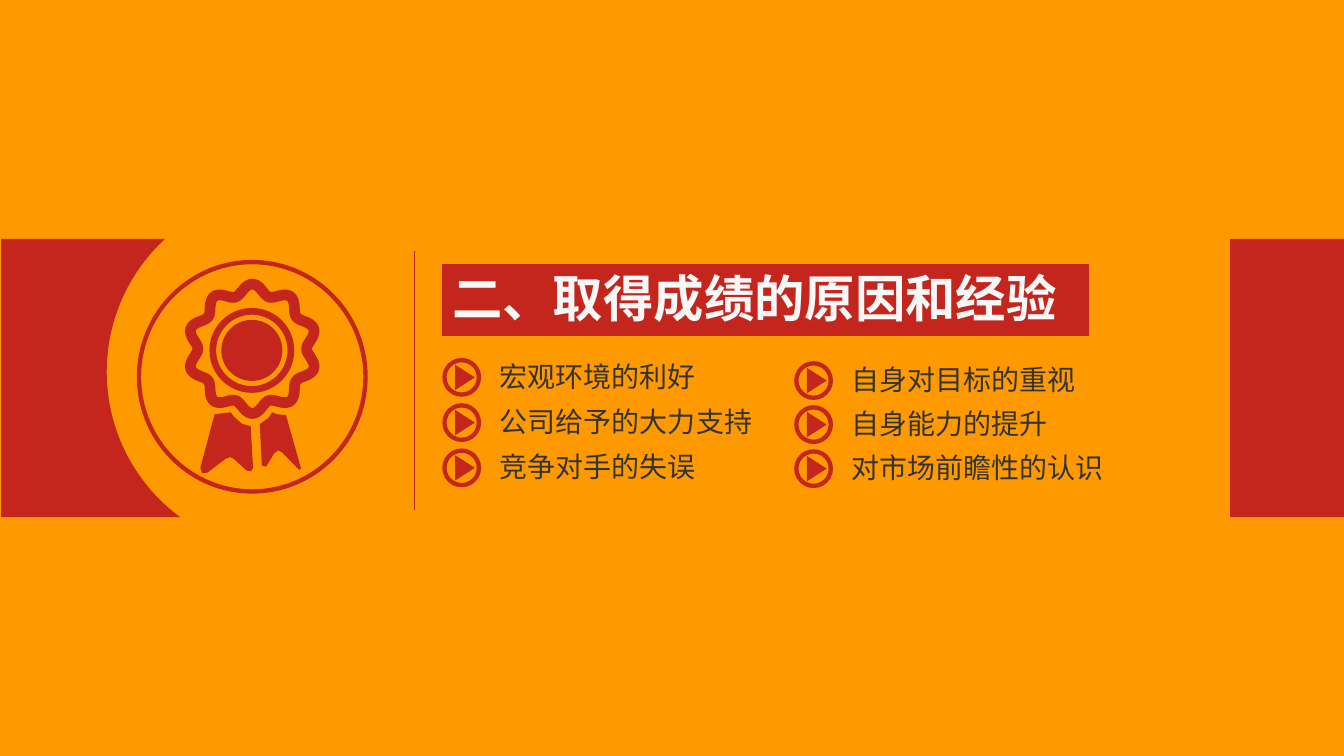
from math import cos, pi, sin, sqrt, tau

from lxml import etree
from pptx import Presentation
from pptx.dml.color import RGBColor
from pptx.enum.shapes import MSO_CONNECTOR, MSO_SHAPE as Preset
from pptx.oxml.ns import qn
from pptx.util import Cm, Pt

RED, ORANGE, WHITE, GREY = "C4261D", "FF9900", "F8F8F8", "333333"

TITLE = "二、取得成绩的原因和经验"
# left, top, row step (cm), reasons
COLUMNS = [
    (11.15, 9.02, 1.14, ["宏观环境的利好", "公司给予的大力支持", "竞争对手的失误"]),
    (20.02, 9.1, 1.11, ["自身对目标的重视", "自身能力的提升", "对市场前瞻性的认识"]),
]
BAND_TOP, BAND_BOTTOM = 6.02, 13.03
CUT_X, CUT_Y, CUT_RADIUS = 7.24, 9.37, 4.55
ROSETTE_X, ROSETTE_Y, ROSETTE_RADIUS = 6.36, 8.79, 1.5
LOBES, LOBE_HEIGHT = 10, 0.13
RIBBONS = [
    [(5.41, 10.44), (5.82, 10.39), (5.89, 10.49), (6.1, 10.68), (6.32, 10.74),
     (6.38, 11.79), (6.33, 11.88), (6.22, 11.86), (5.89, 11.56), (5.8, 11.52),
     (5.69, 11.56), (5.23, 11.91), (5.1, 11.93), (5.05, 11.79)],
    [(6.55, 10.69), (6.78, 10.52), (6.86, 10.39), (6.99, 10.44), (7.21, 10.46),
     (7.59, 11.81), (7.54, 11.84), (7.11, 11.4), (7.01, 11.35), (6.91, 11.43),
     (6.71, 11.76), (6.6, 11.73)],
]


def color(hex_code):
    return RGBColor.from_string(hex_code)


def paint(shape, fill=RED, line_width=None):
    """Fill the shape, or leave it hollow with a red outline of line_width."""
    shape.shadow.inherit = False
    if fill:
        shape.fill.solid()
        shape.fill.fore_color.rgb = color(fill)
    else:
        shape.fill.background()
    if line_width:
        shape.line.color.rgb = color(RED)
        shape.line.width = line_width
    else:
        shape.line.fill.background()
    return shape


def add_preset(slide, preset, left, top, width, height):
    return paint(slide.shapes.add_shape(preset, Cm(left), Cm(top), Cm(width), Cm(height)))


def add_ring(slide, left, top, width, height, thickness):
    ring = add_preset(slide, Preset.DONUT, left, top, width, height)
    ring.adjustments[0] = thickness / min(width, height)


def add_outline(slide, points, **style):
    corners = [(Cm(x), Cm(y)) for x, y in points]
    builder = slide.shapes.build_freeform(*corners[0])
    builder.add_line_segments(corners[1:], close=True)
    return paint(builder.convert_to_shape(), **style)


def add_text(slide, text, left, top, width, height, font_name, size, hex_code, bold=False, wrap=True):
    box = slide.shapes.add_textbox(Cm(left), Cm(top), Cm(width), Cm(height))
    box.text_frame.word_wrap = wrap
    paragraph = box.text_frame.paragraphs[0]
    paragraph.text = text
    font = paragraph.font
    font.name, font.size, font.bold = font_name, Pt(size), bold
    font.color.rgb = color(hex_code)


def add_reason(slide, text, left, top):
    add_ring(slide, left, top, 0.98, 0.98, 0.11)
    add_preset(slide, Preset.ISOSCELES_TRIANGLE, left + 0.25, top + 0.24, 0.64, 0.5).rotation = 90
    add_text(slide, text, left + 1.2, top - 0.09, 0.51 + 0.71 * len(text), 1.12,
             "Arial", 20, GREY, wrap=False)


def add_bands(slide):
    steps = 40
    heights = [BAND_TOP + (BAND_BOTTOM - BAND_TOP) * i / steps for i in range(steps + 1)]
    arc = [(CUT_X - sqrt(CUT_RADIUS ** 2 - (y - CUT_Y) ** 2), y) for y in heights]
    add_outline(slide, [(0.03, BAND_TOP), *arc, (0.03, BAND_BOTTOM)])
    add_preset(slide, Preset.RECTANGLE, 31.01, BAND_TOP, 2.87, BAND_BOTTOM - BAND_TOP)


def add_badge(slide):
    add_ring(slide, 3.45, 6.55, 5.82, 5.89, 0.11)
    for ribbon in RIBBONS:
        add_outline(slide, ribbon)
    wave = []
    for step in range(200):
        angle = tau * step / 200
        radius = ROSETTE_RADIUS + LOBE_HEIGHT * cos(LOBES * angle)
        wave.append((ROSETTE_X + radius * sin(angle), ROSETTE_Y - radius * cos(angle)))
    add_outline(slide, wave, fill=None, line_width=Cm(0.27))
    add_ring(slide, 5.28, 7.76, 2.14, 2.14, 0.17)
    add_preset(slide, Preset.OVAL, 5.58, 8.06, 1.54, 1.54)


def add_divider(slide):
    divider = slide.shapes.add_connector(MSO_CONNECTOR.STRAIGHT, Cm(10.44), Cm(6.32), Cm(10.44), Cm(12.85))
    divider.line.color.rgb = color(RED)
    divider.line.width = Pt(0.75)
    etree.SubElement(divider._element.spPr, qn("a:effectLst"))


def main():
    presentation = Presentation()
    presentation.slide_width, presentation.slide_height = Cm(33.88), Cm(19.05)
    slide = presentation.slides.add_slide(presentation.slide_layouts[6])
    slide.background.fill.solid()
    slide.background.fill.fore_color.rgb = color(ORANGE)

    paint(add_preset(slide, Preset.RECTANGLE, 11.15, 6.66, 16.3, 1.8), line_width=Pt(0.75))
    add_text(slide, TITLE, 11.15, 6.6, 16.3, 1.8, "Noto Sans CJK SC", 36, WHITE, bold=True)
    add_divider(slide)
    for left, top, step, reasons in COLUMNS:
        for row, reason in enumerate(reasons):
            add_reason(slide, reason, left, top + row * step)
    add_bands(slide)
    add_badge(slide)
    presentation.save("out.pptx")


if __name__ == "__main__":
    main()
